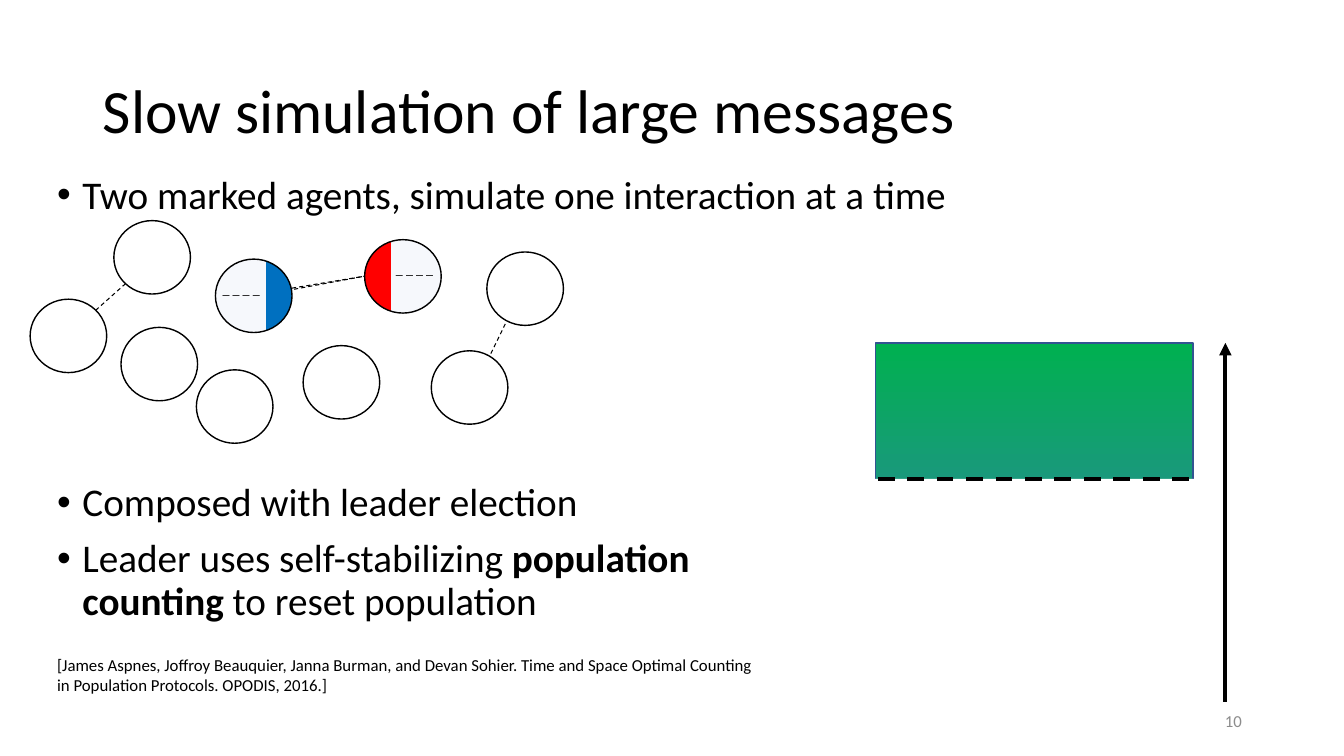
from lxml import etree
from pptx import Presentation
from pptx.dml.color import RGBColor
from pptx.enum.dml import MSO_LINE
from pptx.enum.shapes import MSO_CONNECTOR, MSO_SHAPE
from pptx.enum.text import MSO_ANCHOR, PP_ALIGN
from pptx.oxml.ns import qn
from pptx.util import Cm, Pt

DASH = MSO_LINE.DASH
LINE = MSO_CONNECTOR.STRAIGHT
RECT, OVAL = MSO_SHAPE.RECTANGLE, MSO_SHAPE.OVAL
TOP, MID = MSO_ANCHOR.TOP, MSO_ANCHOR.MIDDLE
LEFT, RIGHT = PP_ALIGN.LEFT, PP_ALIGN.RIGHT
HUE = {
    "ink": "000000", "white": "FFFFFF", "gray": "8C8C8C", "pale": "F6F8FC",
    "blue": "0070C0", "red": "FF0000", "green": "00B050", "base": "4472C4",
    "edge": "325491",
}
FONT = "Calibri"


def color(name):
    return RGBColor.from_string(HUE[name])


def write(slide, box, text, size=28, hue="ink", align=LEFT, anchor=TOP,
          wrap=True, space=None, bullet=False):
    """Each line is a paragraph; parts between ** marks are bold."""
    frame = slide.shapes.add_textbox(*map(Cm, box)).text_frame
    frame.word_wrap = wrap
    frame.vertical_anchor = anchor
    for i, line in enumerate(text.split("\n")):
        para = frame.add_paragraph() if i else frame.paragraphs[0]
        para.alignment = align
        if space:
            para.line_spacing = space
        if i:
            para.space_before = Pt(10)
        if bullet:
            props = para._p.get_or_add_pPr()
            props.set("marL", str(Cm(0.64)))
            props.set("indent", str(-Cm(0.64)))
            etree.SubElement(props, qn("a:buFont"), typeface="Arial")
            etree.SubElement(props, qn("a:buChar"), char="•")
        for j, part in enumerate(line.split("**")):
            run = para.add_run()
            run.text = part
            run.font.name = FONT
            run.font.size = Pt(size)
            run.font.bold = j % 2 == 1
            run.font.color.rgb = color(hue)


def blend(shape, stops, angle):
    shape.fill.gradient()
    shape.fill.gradient_angle = angle
    rows = shape._element.spPr.find(qn("a:gradFill")).find(qn("a:gsLst"))
    for old in list(rows):
        rows.remove(old)
    for place, hue in stops:
        stop = etree.SubElement(rows, qn("a:gs"), pos=str(place * 1000))
        etree.SubElement(stop, qn("a:srgbClr"), val=HUE[hue])


def draw(slide, kind, box, fill=None, edge=None):
    shape = slide.shapes.add_shape(kind, *map(Cm, box))
    shape.shadow.inherit = False
    if fill:
        shape.fill.solid()
        shape.fill.fore_color.rgb = color(fill)
    else:
        shape.fill.background()
    if edge:
        shape.line.color.rgb = color(edge)
        shape.line.width = Pt(1)
    else:
        shape.line.fill.background()
    return shape


def join(slide, start, end, width, dash=None, arrow=False):
    link = slide.shapes.add_connector(LINE, *map(Cm, start + end))
    link.line.color.rgb = color("ink")
    link.line.width = Pt(width)
    if dash:
        link.line.dash_style = dash
    if arrow:
        etree.SubElement(link.line._get_or_add_ln(), qn("a:tailEnd"),
                         type="triangle")
    etree.SubElement(link._element.spPr, qn("a:effectLst"))


def memory(slide, box):
    x, y, w, h = box
    cut = y + 3.43
    bar = draw(slide, RECT, box, edge="edge")
    blend(bar, [(0, "base"), (100, "green")], 90)
    join(slide, (x + 8.81, y + h), (x + 8.81, y), 3, arrow=True)
    draw(slide, RECT, (x - 0.08, cut, w + 0.2, 6.02), fill="white")
    join(slide, (x + 0.05, cut), (x + w + 0.05, cut), 3, DASH)


def agents(slide, box):
    x, y, w, h = box
    marked = [(4.67, 0.97, "blue", 0, -0.07), (8.43, 0.48, "red", 180, 0.54)]
    plain = [(6.88, 3.15), (10.11, 3.28), (2.11, 0), (2.29, 2.69),
             (0, 1.98), (4.19, 3.76), (11.51, 0.79)]
    links = [(6.65, 1.73, 8.43, 1.4), (6.6, 1.7, 8.43, 1.4),
             (1.65, 2.26, 2.39, 1.6), (11.61, 3.35, 11.99, 2.57)]
    for dx, dy, hue, angle, shift in marked:
        disc = draw(slide, OVAL, (x + dx, y + dy, w, h), edge="ink")
        blend(disc, [(66, "pale"), (66, hue), (100, hue)], angle)
        write(slide, (x + dx + shift, y + dy + 0.41, 1.52, 0.69),
              "_ _ _ _", size=10, wrap=False)
    for dx, dy in plain:
        draw(slide, OVAL, (x + dx, y + dy, w, h), edge="ink")
    for ax, ay, bx, by in links:
        join(slide, (x + ax, y + ay), (x + bx, y + by), 0.75, DASH)


def words(slide, box):
    x, y, w, h = box
    write(slide, (x + 1.15, y, w, h), "Slow simulation of large messages",
          size=44, anchor=MID, space=0.9)
    write(slide, (x, y + 3.27, 24.64, 2.97),
          "Two marked agents, simulate one interaction at a time",
          space=0.9, bullet=True)
    write(slide, (x, y + 11.02, 17.53, 4.06),
          "Composed with leader election\n"
          "Leader uses self-stabilizing **population counting** "
          "to reset population", space=0.9, bullet=True)
    write(slide, (x, y + 15.36, 18.29, 1.27),
          "[James Aspnes, Joffroy Beauquier, Janna Burman, and Devan Sohier. "
          "Time and Space Optimal Counting in Population Protocols. "
          "OPODIS, 2016.]", size=12)
    write(slide, (x + 22.74, y + 16.63, 7.62, 1.02), "10",
          size=12, hue="gray", align=RIGHT, anchor=MID)


def main():
    deck = Presentation()
    deck.slide_width, deck.slide_height = Cm(33.87), Cm(19.05)
    slide = deck.slides.add_slide(deck.slide_layouts[6])
    memory(slide, (22.07, 8.64, 8, 9.04))
    agents(slide, (0.76, 5.56, 1.93, 1.85))
    words(slide, (1.19, 1.02, 29.21, 3.68))
    deck.save("out.pptx")


if __name__ == "__main__":
    main()
